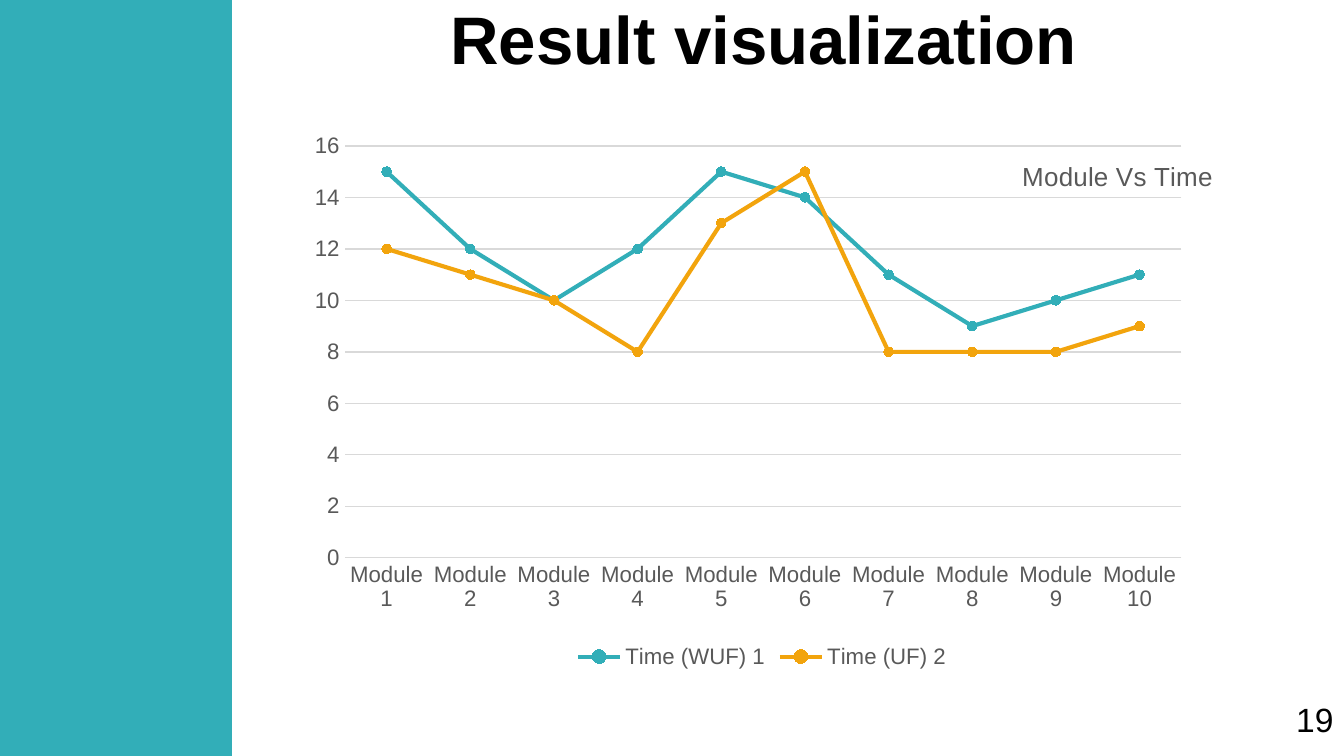
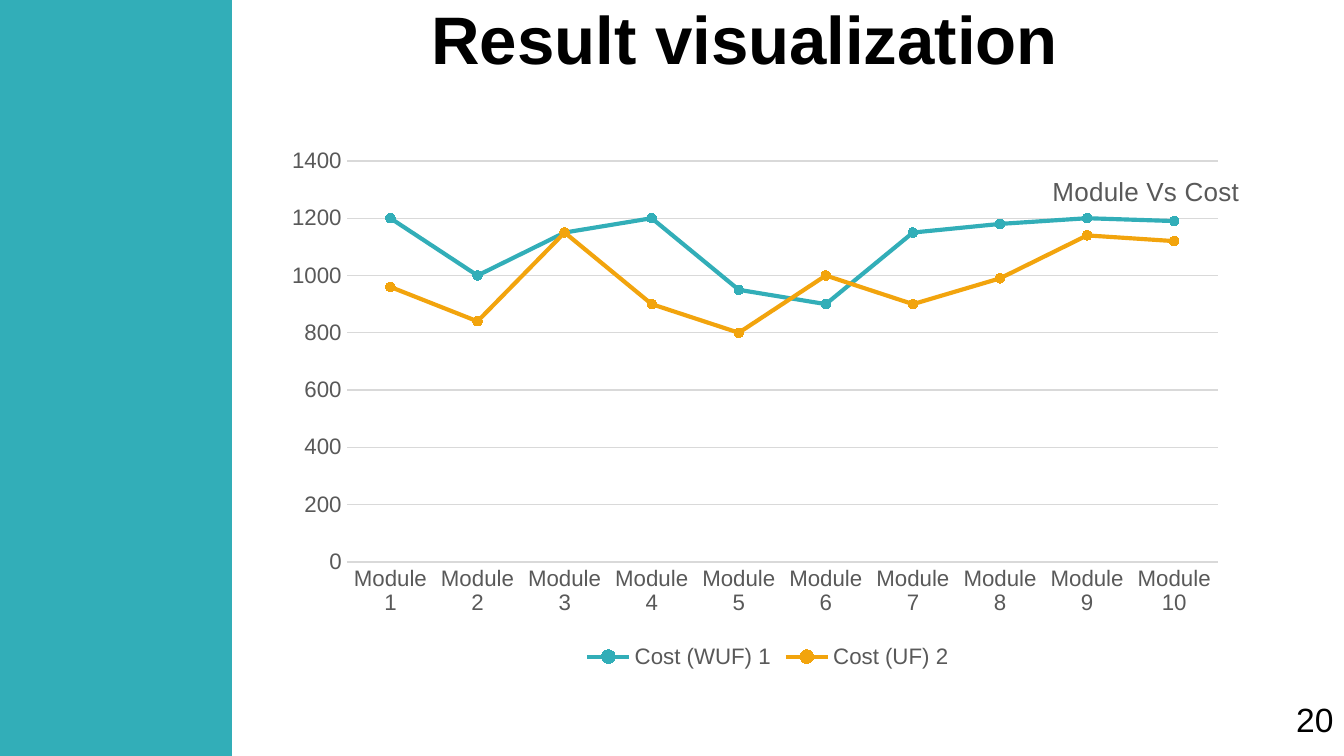
import pptx
import pptx.util
import pptx.dml.color
import pptx.chart.data
import pptx.enum.chart
import pptx.enum.shapes
import pptx.enum.text
import pptx.oxml.ns
from lxml import etree

RGB = pptx.dml.color.RGBColor
TEAL = RGB(0x32, 0xAE, 0xB8)
GOLD = RGB(0xF2, 0xA4, 0x0D)
GREY = RGB(0x59, 0x59, 0x59)
PALE = RGB(0xD9, 0xD9, 0xD9)
BLACK = RGB(0, 0, 0)
FONT = "Arial"
SCALE = 914400 / 134.4
WIDE, HIGH = 1344, 756
BAND = 232
PAD = 13

HEAD = "Result visualization"
CATS = [f"Module {n}" for n in range(1, 11)]
PAGES = [
    {
        "page": "19", "shift": 92, "title": "Module Vs Time", "spot": (1022, 155),
        "box": (312, 134, 906, 540), "plot": (345, 146, 842, 412),
        "top": 16, "step": 2,
        "rows": [
            ("Time (WUF) 1", [15, 12, 10, 12, 15, 14, 11, 9, 10, 11]),
            ("Time (UF) 2", [12, 11, 10, 8, 13, 15, 8, 8, 8, 9]),
        ],
    },
    {
        "page": "20", "shift": 73, "title": "Module Vs Cost", "spot": (1049, 170),
        "box": (292, 149, 952, 525), "plot": (345, 161, 875, 401),
        "top": 1400, "step": 200,
        "rows": [
            ("Cost (WUF) 1", [1200, 1000, 1150, 1200, 950, 900, 1150, 1180, 1200, 1190]),
            ("Cost (UF) 2", [960, 840, 1150, 900, 800, 1000, 900, 990, 1140, 1120]),
        ],
    },
]


def px(n):
    return pptx.util.Emu(round(n * SCALE))


def style(font, size, color, bold=False):
    font.name = FONT
    font.size = pptx.util.Pt(size)
    font.bold = bold
    font.color.rgb = color


def stroke(line, color, width):
    line.color.rgb = color
    line.width = pptx.util.Pt(width)


def write(slide, box, text, size, bold=False):
    frame = slide.shapes.add_textbox(*map(px, box)).text_frame
    run = frame.paragraphs[0].add_run()
    run.text = text
    style(run.font, size, BLACK, bold)
    return frame


def place(node, index, box, rect, inner=False):
    tag = pptx.oxml.ns.qn
    for old in node.findall(tag("c:layout")):
        node.remove(old)
    layout = etree.Element(tag("c:layout"))
    manual = etree.SubElement(layout, tag("c:manualLayout"))
    left, top, wide, high = box
    parts = [("layoutTarget", "inner")] if inner else []
    parts += [("xMode", "edge"), ("yMode", "edge")]
    shares = ((rect[0] - left) / wide, (rect[1] - top) / high)
    shares += tuple(a / b for a, b in zip(rect[2:], (wide, high)))
    parts += zip("xywh", shares)
    for name, val in parts:
        etree.SubElement(manual, tag(f"c:{name}")).set("val", str(val))
    node.insert(index, layout)


def add_band(slide):
    band = slide.shapes.add_shape(
        pptx.enum.shapes.MSO_SHAPE.RECTANGLE, 0, 0, px(BAND), px(HIGH))
    band.shadow.inherit = False
    band.fill.solid()
    band.fill.fore_color.rgb = TEAL
    band.line.fill.background()


def add_head(slide, shift):
    frame = write(slide, (0, -5, WIDE, 85), HEAD, 36, True)
    frame.word_wrap = True
    frame.margin_left = px(PAD + 2 * shift)
    frame.vertical_anchor = pptx.enum.text.MSO_ANCHOR.MIDDLE
    frame.paragraphs[0].alignment = pptx.enum.text.PP_ALIGN.CENTER


def add_page(slide, page):
    frame = write(slide, (1283, 692, 64, 54), page, 18)
    frame.word_wrap = False
    frame.auto_size = pptx.enum.text.MSO_AUTO_SIZE.SHAPE_TO_FIT_TEXT


def add_graph(slide, item):
    enum = pptx.enum.chart
    data = pptx.chart.data.CategoryChartData()
    data.categories = CATS
    for name, vals in item["rows"]:
        data.add_series(name, vals)
    box = item["box"]
    chart = slide.shapes.add_chart(
        enum.XL_CHART_TYPE.LINE_MARKERS, *map(px, box), data).chart
    style(chart.font, 10, BLACK)

    title = chart.chart_title
    run = title.text_frame.paragraphs[0].add_run()
    run.text = item["title"]
    style(run.font, 14, GREY)
    root = chart.element
    node = root.xpath("c:chart/c:title")[0]
    place(node, 1, box, item["spot"])
    for over in node.xpath("c:overlay"):
        over.set("val", "1")
    place(root.xpath("c:chart/c:plotArea")[0], 0, box, item["plot"], True)

    chart.has_legend = True
    chart.legend.position = enum.XL_LEGEND_POSITION.BOTTOM
    chart.legend.include_in_layout = False
    style(chart.legend.font, 12, GREY)

    cat, val = chart.category_axis, chart.value_axis
    for axis in (cat, val):
        axis.major_tick_mark = axis.minor_tick_mark = enum.XL_TICK_MARK.NONE
        style(axis.tick_labels.font, 12, GREY)
    stroke(cat.format.line, PALE, 0.75)
    val.format.line.fill.background()
    val.minimum_scale, val.maximum_scale = 0, item["top"]
    val.major_unit = item["step"]
    val.has_major_gridlines = True
    stroke(val.major_gridlines.format.line, PALE, 0.75)

    plot = chart.plots[0]
    plot.vary_by_categories = False
    for row, color in zip(plot.series, (TEAL, GOLD)):
        row.smooth = False
        stroke(row.format.line, color, 2.25)
        mark = row.marker
        mark.style = enum.XL_MARKER_STYLE.CIRCLE
        mark.size = 5
        mark.format.fill.solid()
        mark.format.fill.fore_color.rgb = color
        stroke(mark.format.line, color, 0.75)


def main():
    deck = pptx.Presentation()
    deck.slide_width, deck.slide_height = px(WIDE), px(HIGH)
    for item in PAGES:
        slide = deck.slides.add_slide(deck.slide_layouts[6])
        add_band(slide)
        add_head(slide, item["shift"])
        add_graph(slide, item)
        add_page(slide, item["page"])
    deck.save("out.pptx")


if __name__ == "__main__":
    main()
